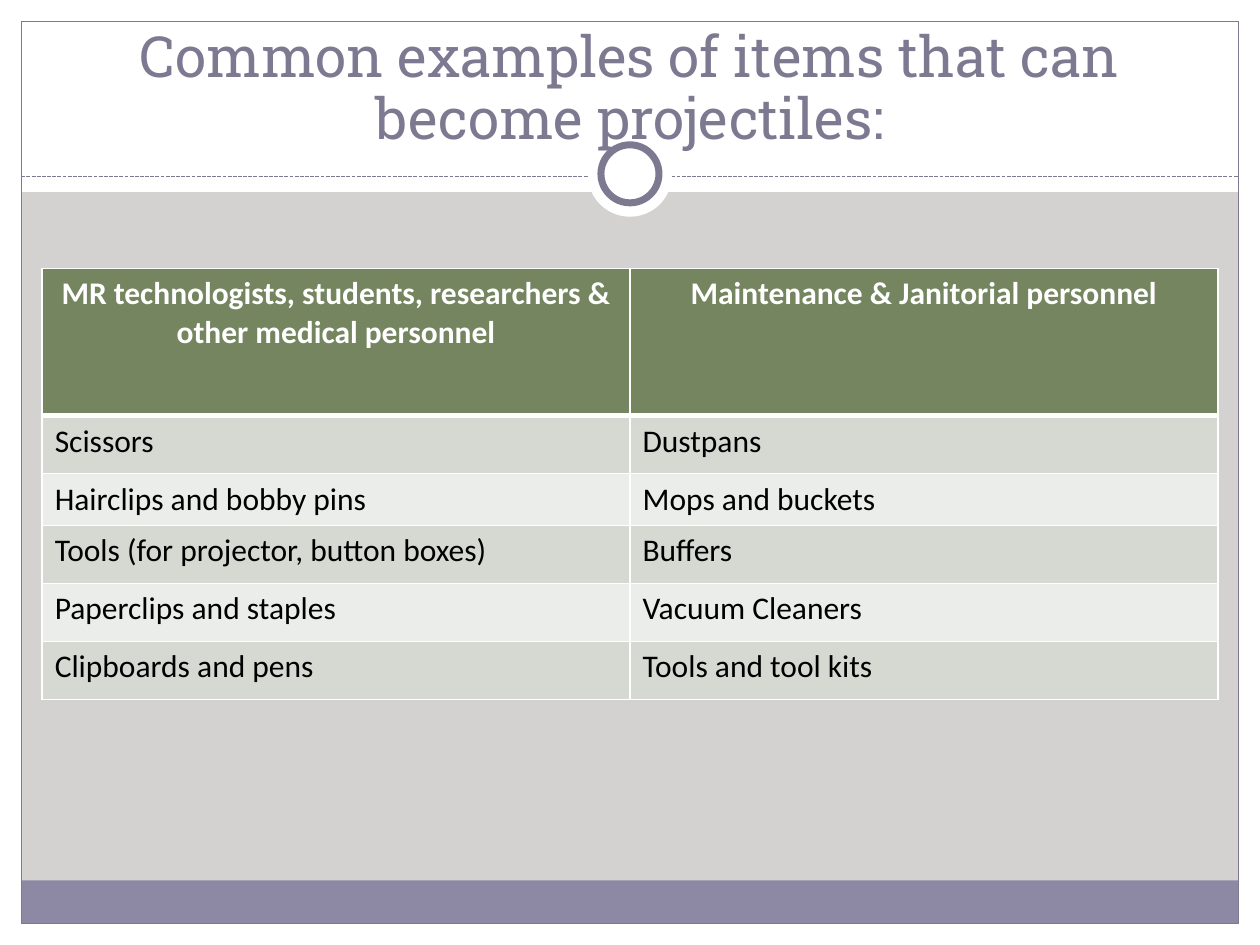
"""Build a slide with a two-column table of items that can become projectiles."""
from lxml.etree import SubElement
from pptx import Presentation
from pptx.dml.color import RGBColor
from pptx.enum.dml import MSO_LINE_DASH_STYLE as Dash
from pptx.enum.shapes import MSO_CONNECTOR as Link, MSO_SHAPE as Kind
from pptx.enum.text import MSO_ANCHOR as Anchor, MSO_AUTO_SIZE as Fit, PP_ALIGN as Align
from pptx.oxml.ns import qn
from pptx.util import Cm, Pt

WIDE, HIGH = 25.4, 19.05
EDGE = 0.43
WHITE, BLACK, SLATE, LILAC = "FFFFFF", "000000", "7C7991", "8D89A4"
GREEN, BANDS = "748560", ("D6D9D2", "EBEDEA")
ROWS = [
    ("MR technologists, students, researchers & other medical personnel",
     "Maintenance & Janitorial personnel"),
    ("Scissors", "Dustpans"),
    ("Hairclips and bobby pins", "Mops and buckets"),
    ("Tools (for projector, button boxes)", "Buffers"),
    ("Paperclips and staples", "Vacuum Cleaners"),
    ("Clipboards and pens", "Tools and tool kits"),
]
TALL = [2.97, 1.17, 1.04, 1.17, 1.17, 1.17]


def color(code):
    return RGBColor.from_string(code)


def apply(item, **form):
    for name, value in form.items():
        setattr(item, name, value)


class Deck:
    def __init__(self):
        self.show = Presentation()
        apply(self.show, slide_width=Cm(WIDE), slide_height=Cm(HIGH))
        self.slide = self.show.slides.add_slide(self.show.slide_layouts[5])
        self.shapes = self.slide.shapes
        self.paint(self.slide.background.fill, "D4D2D0")

    def paint(self, fill, code):
        fill.solid()
        fill.fore_color.rgb = color(code)

    def label(self, para, text, code, align, **form):
        para.alignment = align
        run = para.add_run()
        run.text = text
        apply(run.font, **form)
        run.font.color.rgb = color(code)

    def shape(self, kind, x, y, w, h, fill=None, line=None, width=0.75):
        part = self.shapes.add_shape(kind, Cm(x), Cm(y), Cm(w), Cm(h))
        part.shadow.inherit = False
        if fill:
            self.paint(part.fill, fill)
        else:
            part.fill.background()
        if line:
            self.paint(part.line.fill, line)
            part.line.width = Pt(width)
        else:
            part.line.fill.background()

    def ring(self, y, size, **form):
        self.shape(Kind.OVAL, (WIDE - size) / 2, y, size, size, WHITE, **form)

    def rule(self, y):
        line = self.shapes.add_connector(Link.STRAIGHT, Cm(EDGE), Cm(y), Cm(WIDE - EDGE), Cm(y))
        self.paint(line.line.fill, SLATE)
        apply(line.line, width=Pt(0.75), dash_style=Dash.SQUARE_DOT)
        SubElement(line.element.spPr, qn("a:effectLst"))

    def title(self, text, x, y, w, h):
        head = self.shapes.title
        apply(head, left=Cm(x), top=Cm(y), width=Cm(w), height=Cm(h))
        apply(head.text_frame, word_wrap=True, auto_size=Fit.NONE, vertical_anchor=Anchor.BOTTOM)
        para = head.text_frame.paragraphs[0]
        para.line_spacing = 0.9
        self.label(para, text, SLATE, Align.CENTER, name="Roboto Slab", size=Pt(32.4))
        head.element.getparent().append(head.element)

    def border(self, cell, side, width):
        props = cell._tc.get_or_add_tcPr()
        line = SubElement(props, qn("a:ln" + side), w=str(Pt(width)))
        fill = SubElement(line, qn("a:solidFill"))
        SubElement(fill, qn("a:srgbClr"), val=WHITE)

    def table(self, rows, tall, x, y, w):
        count = len(rows[0])
        frame = self.shapes.add_table(len(rows), count, Cm(x), Cm(y), Cm(w), Cm(sum(tall)))
        grid = frame.table
        apply(grid, first_row=False, horz_banding=False)
        for col in grid.columns:
            col.width = Cm(w / count)
        for r, texts in enumerate(rows):
            grid.rows[r].height = Cm(tall[r])
            head = r == 0
            for c, text in enumerate(texts):
                cell = grid.cell(r, c)
                for side in "LRTB":
                    thick = (r, side) in ((0, "B"), (1, "T"))
                    self.border(cell, side, 3 if thick else 1)
                self.paint(cell.fill, GREEN if head else BANDS[(r - 1) % 2])
                self.label(cell.text_frame.paragraphs[0], text, WHITE if head else BLACK,
                           Align.CENTER if head else Align.LEFT,
                           name="Calibri", size=Pt(18), bold=head)


def main():
    deck = Deck()
    for box in ((0, HIGH - EDGE, WIDE, EDGE), (0, 0, WIDE, 3.87),
                (0, 0, EDGE, HIGH), (WIDE - EDGE, 0, EDGE, HIGH)):
        deck.shape(Kind.RECTANGLE, *box, fill=WHITE)
    inner = WIDE - 2 * EDGE
    deck.shape(Kind.RECTANGLE, EDGE, 17.75, inner, 0.87, fill=LILAC)
    deck.shape(Kind.RECTANGLE, EDGE, EDGE, inner, HIGH - 2 * EDGE, line=SLATE)
    deck.rule(3.56)
    deck.ring(2.67, 1.7)
    deck.ring(2.92, 1.17, line=SLATE, width=4)
    deck.title("Common examples of items that can become projectiles:", 1.27, 0.84, 22.86, 2.34)
    deck.table(ROWS, TALL, 0.85, 5.41, 23.7)
    deck.show.save("out.pptx")


if __name__ == "__main__":
    main()
